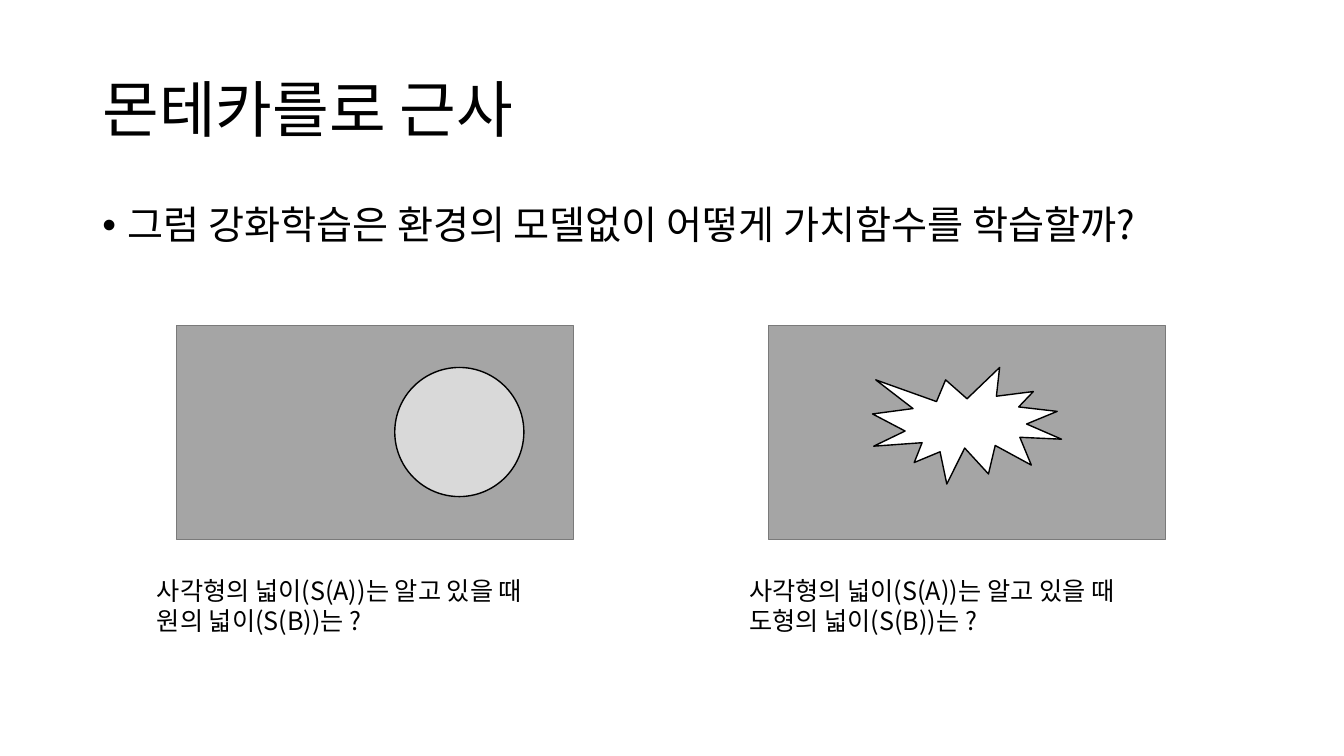
"""Build the Monte Carlo approximation slide with two area puzzles."""
from lxml.etree import SubElement
from pptx import Presentation
from pptx.dml.color import RGBColor
from pptx.enum.shapes import MSO_SHAPE
from pptx.enum.text import MSO_ANCHOR, MSO_AUTO_SIZE, PP_ALIGN
from pptx.oxml.ns import qn
from pptx.util import Pt

PX = 9525
FONT = "Noto Sans CJK KR"
BLACK = RGBColor(0x00, 0x00, 0x00)
WHITE = RGBColor(0xFF, 0xFF, 0xFF)
GRAY = RGBColor(0xA5, 0xA5, 0xA5)
DARK_GRAY = RGBColor(0x7A, 0x7A, 0x7A)
LIGHT_GRAY = RGBColor(0xD9, 0xD9, 0xD9)


def write(box, place, lines, size, frame_format, para_format):
    box.left, box.top, box.width, box.height = [length * PX for length in place]
    frame = box.text_frame
    for name, value in frame_format.items():
        setattr(frame, name, value)
    frame.text = "\n".join(lines)
    for para in frame.paragraphs:
        for name, value in para_format.items():
            setattr(para, name, value)
        span = para.runs[0]
        for name, value in {"name": FONT, "size": Pt(size)}.items():
            setattr(span.font, name, value)
        span.font.color.rgb = BLACK
        SubElement(span.font._element, qn("a:ea"), typeface=FONT)


def draw(page, kind, place, fill, line):
    shape = page.shapes.add_shape(kind, *[length * PX for length in place])
    shape.shadow.inherit = False
    shape.fill.solid()
    shape.fill.fore_color.rgb = fill
    shape.line.color.rgb = line
    shape.line.width = Pt(1)


deck = Presentation()
deck.slide_width, deck.slide_height = 1280 * PX, 720 * PX
page = deck.slides.add_slide(deck.slide_layouts[5])

write(page.shapes.title, (88, 38, 1104, 139), ["몬테카를로 근사"], 44,
      {"word_wrap": True, "auto_size": MSO_AUTO_SIZE.NONE,
       "vertical_anchor": MSO_ANCHOR.MIDDLE},
      {"alignment": PP_ALIGN.LEFT, "line_spacing": 0.9})

question = page.shapes.add_textbox(0, 0, PX, PX)
write(question, (88, 192, 1112, 457),
      ["그럼 강화학습은 환경의 모델없이 어떻게 가치함수를 학습할까?"], 28,
      {"word_wrap": True, "margin_top": 4 * PX},
      {"line_spacing": 0.9, "space_before": Pt(10)})
bullet_format = question.text_frame.paragraphs[0]._p.get_or_add_pPr()
bullet_format.set("marL", str(24 * PX))
bullet_format.set("indent", str(-24 * PX))
SubElement(bullet_format, qn("a:buFont"), typeface="Arial")
SubElement(bullet_format, qn("a:buChar"), char="•")

puzzles = [
    ("원", MSO_SHAPE.OVAL, (376, 350, 123, 123), LIGHT_GRAY),
    ("도형", MSO_SHAPE.EXPLOSION1, (831, 350, 180, 111), WHITE),
]
for column, (figure, kind, place, fill) in enumerate(puzzles):
    shift = column * 564
    draw(page, MSO_SHAPE.RECTANGLE, (168 + shift, 310, 378, 204), GRAY, DARK_GRAY)
    draw(page, kind, place, fill, BLACK)
    write(page.shapes.add_textbox(0, 0, PX, PX), (140 + shift, 543, 433, 68),
          ["사각형의 넓이(S(A))는 알고 있을 때", f"{figure}의 넓이(S(B))는 ?"], 18,
          {"word_wrap": True, "auto_size": MSO_AUTO_SIZE.SHAPE_TO_FIT_TEXT},
          {"alignment": PP_ALIGN.LEFT})

deck.save("out.pptx")
